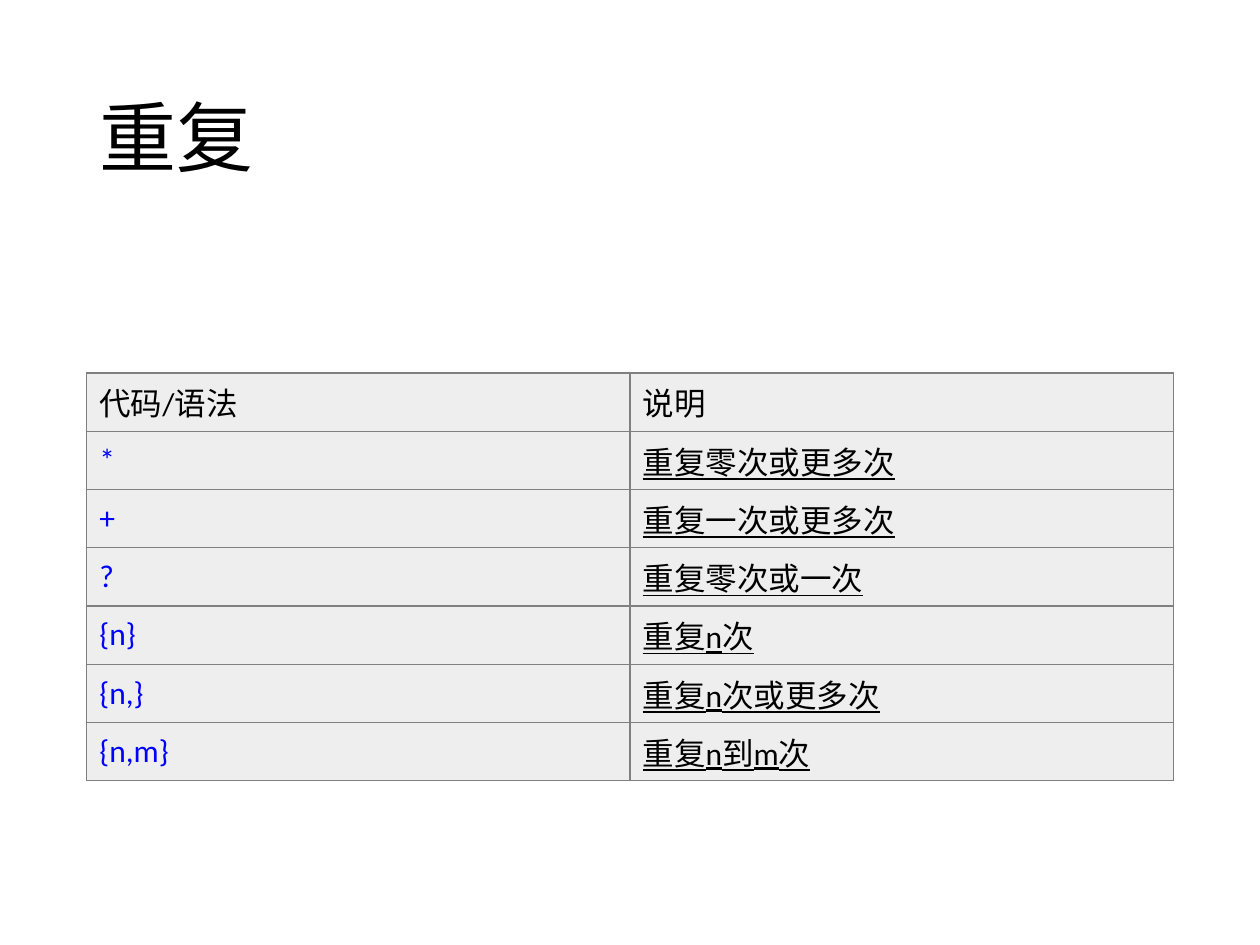
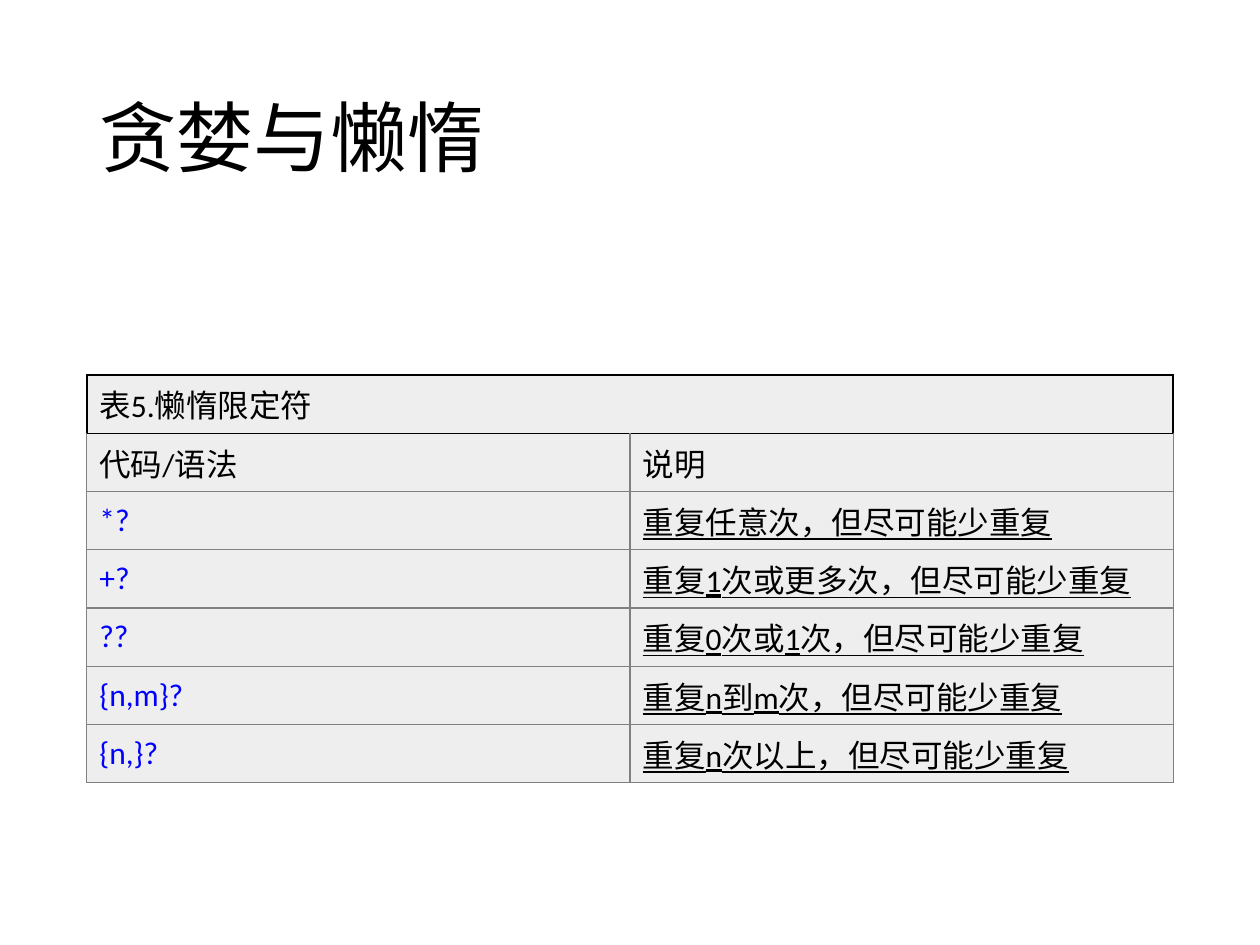
"""Build two slides on repetition quantifiers in regular expressions."""
from dataclasses import dataclass

import pptx
import pptx.dml.color
import pptx.enum.text
import pptx.oxml
import pptx.oxml.ns
import pptx.util
from pptx.util import Cm

FONT = "Calibri"
BLACK = "000000"
CODE_BLUE = "0000FF"
CELL_GREY = "EEEEEE"
BORDER_GREY = "808080"
LEFT, WIDTH = Cm(1.75), Cm(21.9)
TITLE_TOP, TITLE_HEIGHT = Cm(1.01), Cm(3.68)
ROW_HEIGHT = Cm(1.02)
HEADER = ("代码/语法", "说明")
TITLE_ONLY_LAYOUT = 5


@dataclass
class QuantifierSlide:
    title: str
    table_top: float
    quantifiers: list[tuple[str, str]]
    caption: str = ""


SLIDES = [
    QuantifierSlide("重复", 7.52, [
        ("*", "重复零次或更多次"),
        ("+", "重复一次或更多次"),
        ("?", "重复零次或一次"),
        ("{n}", "重复n次"),
        ("{n,}", "重复n次或更多次"),
        ("{n,m}", "重复n到m次"),
    ]),
    QuantifierSlide("贪婪与懒惰", 7.56, [
        ("*?", "重复任意次，但尽可能少重复"),
        ("+?", "重复1次或更多次，但尽可能少重复"),
        ("??", "重复0次或1次，但尽可能少重复"),
        ("{n,m}?", "重复n到m次，但尽可能少重复"),
        ("{n,}?", "重复n次以上，但尽可能少重复"),
    ], caption="表5.懒惰限定符"),
]


def rgb(color: str) -> pptx.dml.color.RGBColor:
    return pptx.dml.color.RGBColor.from_string(color)


def format_paragraph(paragraph, size: int, color: str = BLACK, underline: bool = False) -> None:
    font = paragraph.font
    font.name = FONT
    font.size = pptx.util.Pt(size)
    font.color.rgb = rgb(color)
    font.underline = underline


def set_borders(cell, color: str, points: float, top_color: str, top_points: float) -> None:
    properties = cell._tc.get_or_add_tcPr()
    edges = [("L", color, points), ("R", color, points),
             ("T", top_color, top_points), ("B", color, points)]
    for side, edge_color, edge_points in edges:
        properties.append(pptx.oxml.parse_xml(
            f'<a:ln{side} {pptx.oxml.ns.nsdecls("a")} w="{pptx.util.Pt(edge_points)}">'
            f'<a:solidFill><a:srgbClr val="{edge_color}"/></a:solidFill></a:ln{side}>'))


def fill_cell(cell, text: str, color: str = BLACK, underline: bool = False) -> None:
    cell.fill.solid()
    cell.fill.fore_color.rgb = rgb(CELL_GREY)
    cell.vertical_anchor = pptx.enum.text.MSO_ANCHOR.MIDDLE
    cell.text = text
    format_paragraph(cell.text_frame.paragraphs[0], 18, color, underline)


def add_title(slide, text: str) -> None:
    title = slide.shapes.title
    title.left, title.top, title.width, title.height = LEFT, TITLE_TOP, WIDTH, TITLE_HEIGHT
    frame = title.text_frame
    frame.text = text
    frame.auto_size = pptx.enum.text.MSO_AUTO_SIZE.NONE
    frame.vertical_anchor = pptx.enum.text.MSO_ANCHOR.MIDDLE
    paragraph = frame.paragraphs[0]
    paragraph.alignment = pptx.enum.text.PP_ALIGN.LEFT
    paragraph.line_spacing = 0.9
    format_paragraph(paragraph, 44)


def add_quantifier_table(slide, content: QuantifierSlide) -> None:
    captions = [(content.caption, "")] if content.caption else []
    rows = [*captions, HEADER, *content.quantifiers]
    header_index = len(captions)
    table = slide.shapes.add_table(len(rows), len(HEADER), LEFT, Cm(content.table_top),
                                   WIDTH, ROW_HEIGHT * len(rows)).table
    table.first_row = False
    table.horz_banding = False
    for row_index, texts in enumerate(rows):
        is_caption = row_index < header_index
        is_quantifier = row_index > header_index
        border = (BLACK, 1) if is_caption else (BORDER_GREY, 0.75)
        below_caption = captions and row_index == header_index
        top_border = (BLACK, 1) if below_caption else border
        for column_index, text in enumerate(texts):
            cell = table.cell(row_index, column_index)
            set_borders(cell, *border, *top_border)
            is_code = is_quantifier and column_index == 0
            fill_cell(cell, text, CODE_BLUE if is_code else BLACK,
                      underline=is_quantifier and not is_code)
        if is_caption:
            table.cell(row_index, 0).merge(table.cell(row_index, len(HEADER) - 1))


def main() -> None:
    presentation = pptx.Presentation()
    presentation.slide_width, presentation.slide_height = Cm(25.4), Cm(19.05)
    for content in SLIDES:
        slide = presentation.slides.add_slide(presentation.slide_layouts[TITLE_ONLY_LAYOUT])
        add_title(slide, content.title)
        add_quantifier_table(slide, content)
    presentation.save("out.pptx")


if __name__ == "__main__":
    main()
